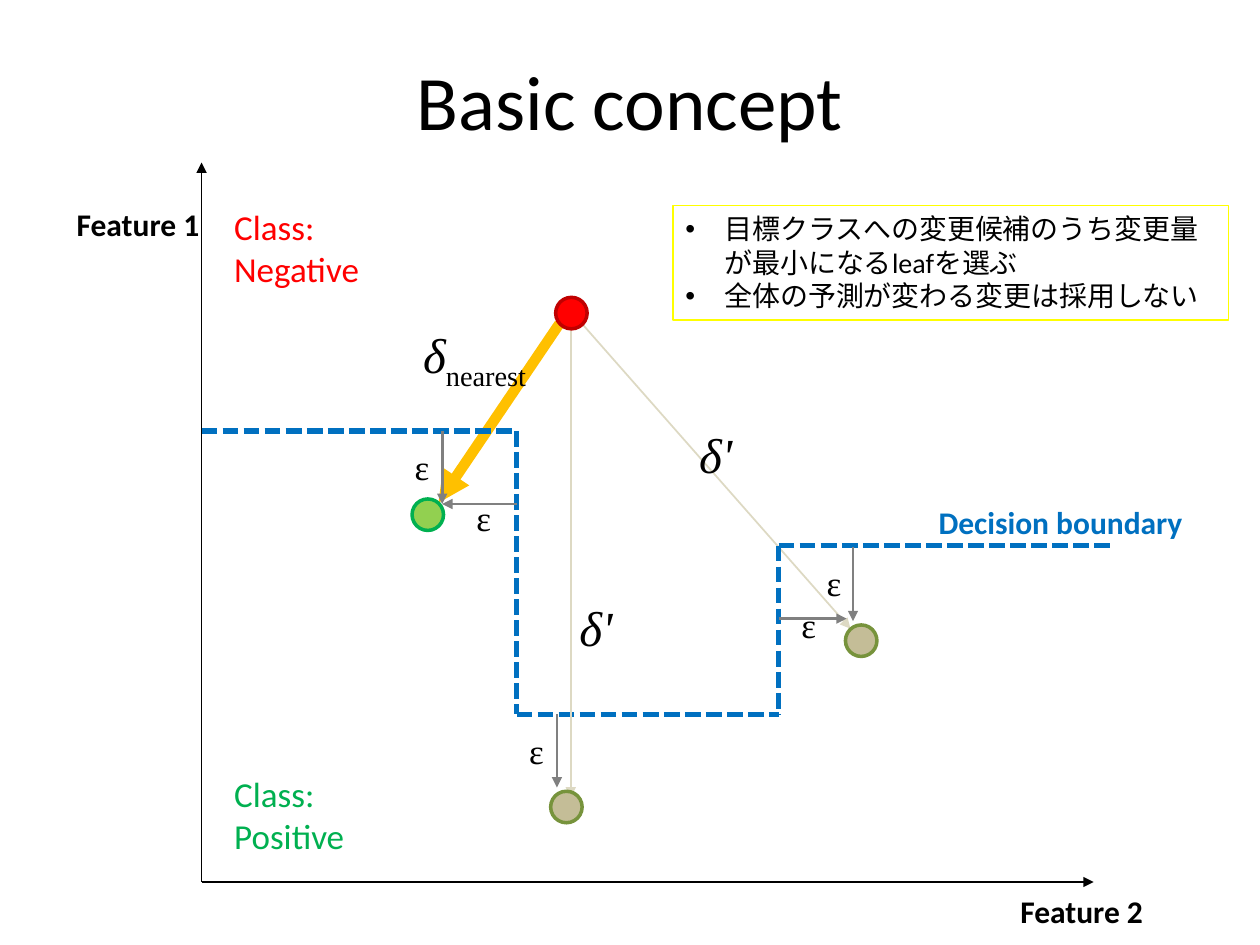
import itertools
from dataclasses import dataclass

import lxml.etree
import pptx
import pptx.dml.color
import pptx.enum.dml
import pptx.enum.shapes
import pptx.enum.text
import pptx.oxml.ns
import pptx.util

Inches = pptx.util.Inches
Pt = pptx.util.Pt
qn = pptx.oxml.ns.qn


@dataclass(frozen=True)
class Theme:
    black: str = "000000"
    negative: str = "FF0000"
    negative_edge: str = "C00000"
    positive: str = "00B050"
    positive_fill: str = "92D050"
    other_fill: str = "C4BD97"
    other_edge: str = "77933C"
    other_path: str = "DDD9C3"
    nearest_path: str = "FFC000"
    boundary: str = "0070C0"
    margin: str = "808080"
    note_edge: str = "FFFF00"
    sans: str = "Calibri"
    serif: str = "Times New Roman"
    title_size: int = 44
    delta_size: int = 28
    class_size: int = 20
    axis_size: int = 18
    note_size: int = 16


THEME = Theme()


def rgb(value):
    return pptx.dml.color.RGBColor.from_string(value)


class SlideBuilder:
    def __init__(self, prs, theme):
        self.theme = theme
        self.slide = prs.slides.add_slide(prs.slide_layouts[1])

    def style_run(self, r, size, color, name=None, **extra):
        fmt = dict(size=Pt(size), name=name or self.theme.sans, **extra)
        for key, value in fmt.items():
            setattr(r.font, key, value)
        r.font.color.rgb = rgb(color)

    def place(self, sp, left, top, width, height):
        box = dict(left=left, top=top, width=width, height=height)
        for key, value in box.items():
            setattr(sp, key, Inches(value))

    def title(self, text, box):
        sp = self.slide.shapes.title
        self.place(sp, *box)
        tf = sp.text_frame
        tf.vertical_anchor = pptx.enum.text.MSO_ANCHOR.MIDDLE
        p = tf.paragraphs[0]
        p.alignment = pptx.enum.text.PP_ALIGN.CENTER
        r = p.add_run()
        r.text = text
        self.style_run(r, self.theme.title_size, self.theme.black)

    def bullets(self, items, box):
        sp = self.slide.placeholders[1]
        self.place(sp, *box)
        sp.line.color.rgb = rgb(self.theme.note_edge)
        sp.line.width = Pt(0.75)
        tf = sp.text_frame
        tf.auto_size = pptx.enum.text.MSO_AUTO_SIZE.NONE
        for i, item in enumerate(items):
            p = tf.add_paragraph() if i else tf.paragraphs[0]
            p.space_before = Pt(0)
            pPr = p._p.get_or_add_pPr()
            pPr.set("marL", str(Inches(0.31)))
            pPr.set("indent", str(-Inches(0.31)))
            lxml.etree.SubElement(pPr, qn("a:buChar")).set("char", "•")
            r = p.add_run()
            r.text = item
            self.style_run(r, self.theme.note_size, self.theme.black)

    def text(self, text, box, size, color, sub="", inset=0.1, wrap=True, **font):
        """Add a label; sub is set upright as a subscript after the text."""
        sp = self.slide.shapes.add_textbox(*map(Inches, box))
        tf = sp.text_frame
        fmt = dict(word_wrap=wrap, margin_left=Inches(inset),
                   margin_right=Inches(0 if inset < 0.1 else inset),
                   auto_size=pptx.enum.text.MSO_AUTO_SIZE.SHAPE_TO_FIT_TEXT)
        for key, value in fmt.items():
            setattr(tf, key, value)
        p = tf.paragraphs[0]
        r = p.add_run()
        r.text = text
        self.style_run(r, size, color, **font)
        if sub:
            r = p.add_run()
            r.text = sub
            self.style_run(r, size, color, **{**font, "italic": False})
            r._r.get_or_add_rPr().set("baseline", "-25000")

    def line(self, start, end, color, width, arrow=False, dashed=False):
        ends = map(Inches, (*start, *end))
        kind = pptx.enum.shapes.MSO_CONNECTOR.STRAIGHT
        cxn = self.slide.shapes.add_connector(kind, *ends)
        cxn.line.color.rgb = rgb(color)
        cxn.line.width = Pt(width)
        if dashed:
            cxn.line.dash_style = pptx.enum.dml.MSO_LINE.SQUARE_DOT
        if arrow:
            ln = cxn.line._get_or_add_ln()
            lxml.etree.SubElement(ln, qn("a:tailEnd")).set("type", "triangle")
        lxml.etree.SubElement(cxn._element.spPr, qn("a:effectLst"))

    def point(self, left, top, fill, edge):
        sp = self.slide.shapes.add_shape(
            pptx.enum.shapes.MSO_SHAPE.OVAL,
            *map(Inches, (left, top, 0.25, 0.25)))
        sp.shadow.inherit = False
        sp.fill.solid()
        sp.fill.fore_color.rgb = rgb(fill)
        sp.line.color.rgb = rgb(edge)
        sp.line.width = Pt(2)


def draw_lines(s, t):
    s.line((4.62, 2.57), (6.75, 4.99), t.other_path, 1, arrow=True)
    s.line((4.44, 2.57), (3.48, 3.99), t.nearest_path, 6, arrow=True)

    origin = (1.6, 7)
    for end in ((1.6, 1.29), (8.68, 7)):
        s.line(origin, end, t.black, 0.75, arrow=True)

    corners = [(1.6, 3.42), (4.1, 3.42), (4.1, 5.67),
               (6.18, 5.67), (6.18, 4.33), (8.85, 4.33)]
    for i, (start, end) in enumerate(itertools.pairwise(corners)):
        if i == 3:  # dashes run downward on the right-hand step
            start, end = end, start
        s.line(start, end, t.boundary, 3, dashed=True)

    margins = [((3.51, 3.42), (3.51, 4)), ((4.1, 4), (3.51, 4)),
               ((4.42, 5.67), (4.42, 6.25)), ((6.18, 4.91), (6.72, 4.91)),
               ((6.77, 4.34), (6.77, 4.93))]
    for start, end in margins:
        s.line(start, end, t.margin, 1.5, arrow=True)

    s.line((4.53, 2.61), (4.53, 6.33), t.other_path, 1, arrow=True)


def draw_points(s, t):
    s.point(4.41, 2.36, t.negative, t.negative_edge)
    s.point(3.27, 3.96, t.positive_fill, t.positive)
    for left, top in ((6.71, 4.96), (4.37, 6.28)):
        s.point(left, top, t.other_fill, t.other_edge)


def draw_labels(s, t):
    s.text("Feature 1", (0.51, 1.58, 1.75, 0.4), t.axis_size, t.black, bold=True)
    s.text("Feature 2", (8, 7.03, 1.24, 0.4), t.axis_size, t.black, bold=True)
    s.text("Decision boundary", (7.35, 3.94, 2.15, 0.4), t.axis_size,
           t.boundary, wrap=False, bold=True)
    for name, top, color in (("Negative", 1.58, t.negative),
                             ("Positive", 6.08, t.positive)):
        s.text(f"Class: {name}", (1.76, top, 1.75, 0.77), t.class_size, color)

    delta = dict(size=t.delta_size, color=t.black, name=t.serif, italic=True)
    s.text("δ", (3.26, 2.53, 1.4, 0.57), sub="nearest", **delta)
    for left, top in ((5.45, 3.32), (4.5, 4.69)):
        s.text("δ'", (left, top, 0.56, 0.57), **delta)

    for left, top in ((3.22, 3.49), (3.71, 3.89), (4.13, 5.74),
                      (6.29, 4.74), (6.49, 4.41)):
        s.text("ε", (left, top, 0.19, 0.44), t.class_size, t.black,
               inset=0.07, name=t.serif)


def main():
    prs = pptx.Presentation()
    prs.slide_width = Inches(10)
    prs.slide_height = Inches(7.5)
    s = SlideBuilder(prs, THEME)
    s.title("Basic concept", (0.5, 0.3, 9, 0.99))
    draw_lines(s, THEME)
    draw_points(s, THEME)
    draw_labels(s, THEME)
    s.bullets(["目標クラスへの変更候補のうち変更量が最小になるleafを選ぶ",
               "全体の予測が変わる変更は採用しない"], (5.34, 1.63, 4.41, 0.91))
    prs.save("out.pptx")


if __name__ == "__main__":
    main()
